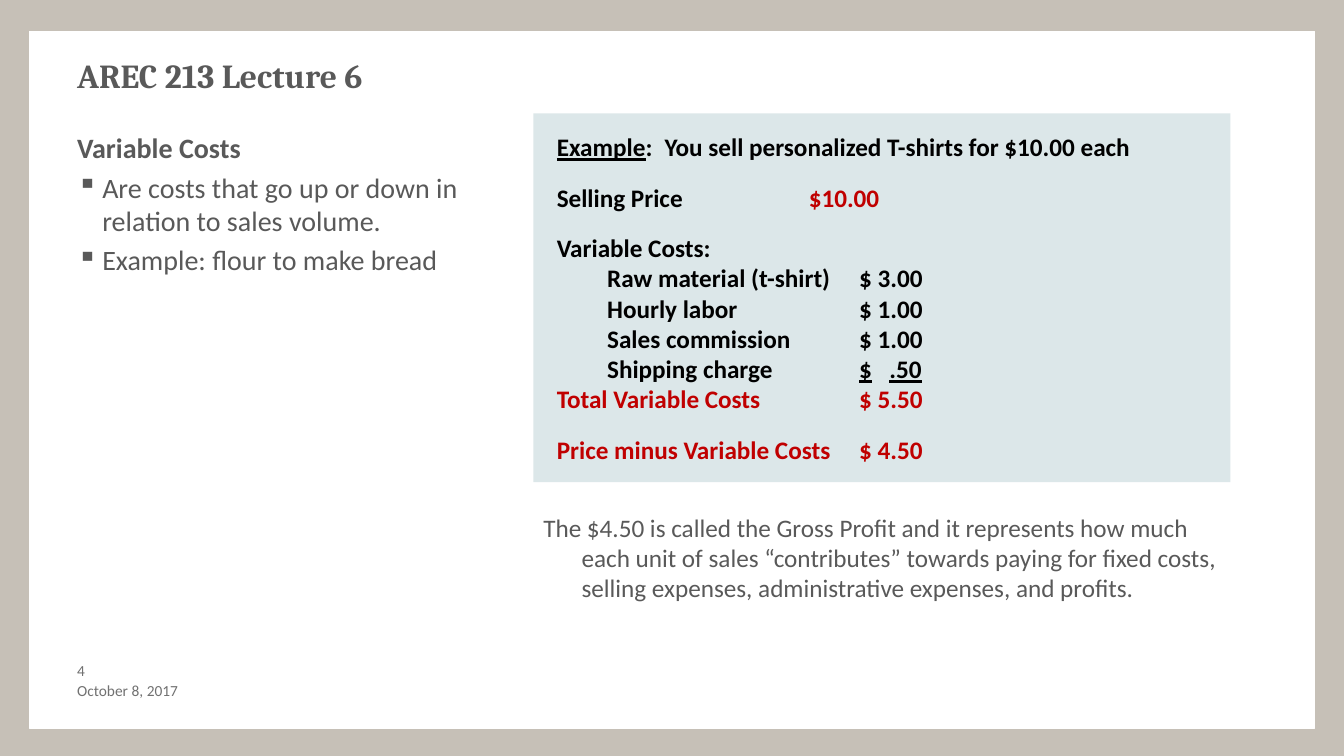
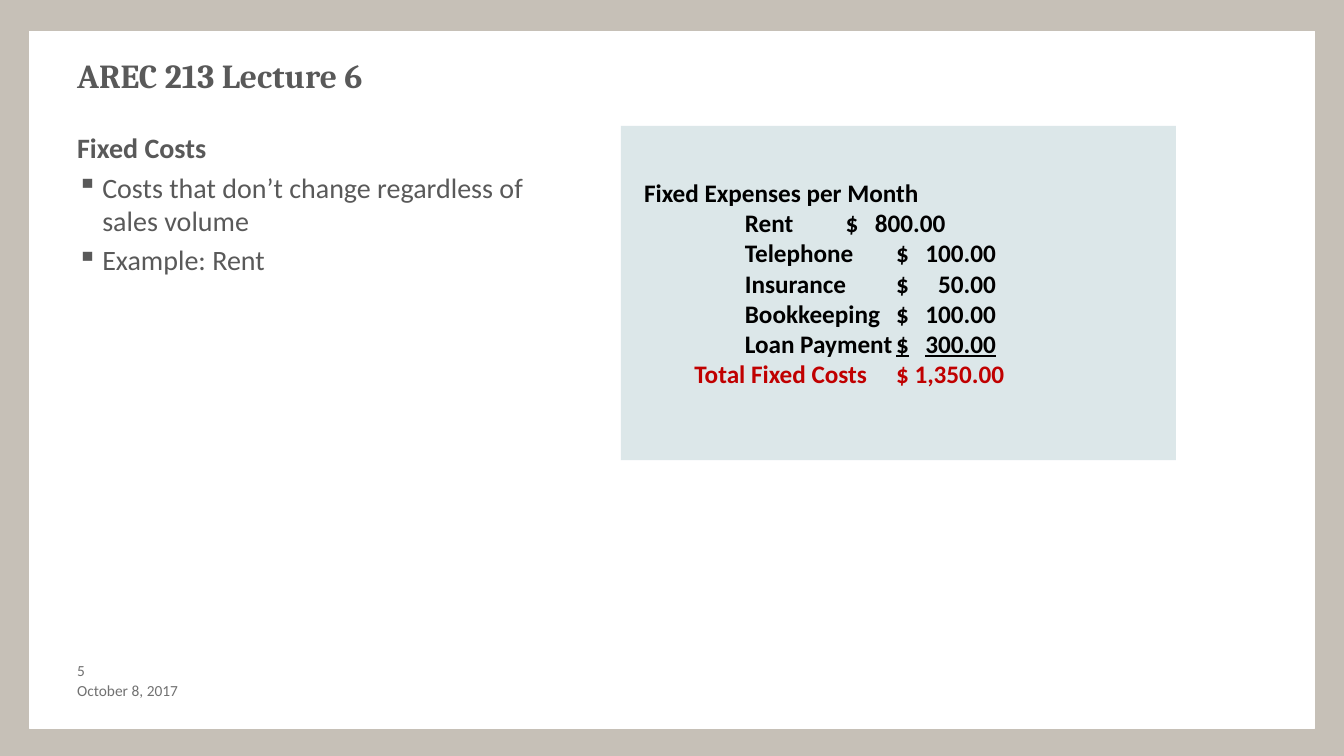
from lxml import etree
from pptx import Presentation
from pptx import util as u
from pptx.dml.color import RGBColor
from pptx.enum import shapes, text
from pptx.oxml import ns

# Shared look: a grid of 16 columns by 9 rows of square cells
COLS, ROWS = 16, 9
CELL = u.Inches(13.333) / COLS
LEFT = 0.8

FRAME = RGBColor(0xC6, 0xC0, 0xB7)
WHITE = RGBColor(0xFF, 0xFF, 0xFF)
PANEL = RGBColor(0xDC, 0xE7, 0xE9)
BLACK = RGBColor(0x00, 0x00, 0x00)
RED = RGBColor(0xC0, 0x00, 0x00)
GREY = RGBColor(0x59, 0x59, 0x59)
PALE = RGBColor(0x71, 0x71, 0x71)

HEAD_FONT, BODY_FONT = "Cambria", "Calibri"
TITLE, DATE = "AREC 213 Lecture 6", "October 8, 2017"
GAP = 14.4  # points between groups of ledger rows


def cells(*counts):
    return [round(n * CELL) for n in counts]


def add_rect(slide, at, fill, line=None):
    sp = slide.shapes.add_shape(shapes.MSO_SHAPE.RECTANGLE, *cells(*at))
    sp.shadow.inherit = False
    sp.fill.solid()
    sp.fill.fore_color.rgb = fill
    if line is None:
        sp.line.fill.background()
    else:
        sp.line.color.rgb = line
        sp.line.width = u.Pt(0.75)


def add_box(slide, at):
    tf = slide.shapes.add_textbox(*cells(*at)).text_frame
    tf.word_wrap = True
    return tf


def next_paragraph(tf):
    first = tf.paragraphs[0]
    return tf.add_paragraph() if first.runs else first


def style(p, size, color, bold=False, name=BODY_FONT):
    p.font.size, p.font.bold, p.font.name = u.Pt(size), bold, name
    p.font.color.rgb = color


def hang(p, inches):
    pPr = p._p.get_or_add_pPr()
    pPr.set("marL", str(u.Inches(inches)))
    pPr.set("indent", str(-u.Inches(inches)))
    return pPr


def add_tabs(p, stops):
    """Stops are (inches, alignment) pairs, alignment being l or r."""
    tabs = etree.SubElement(p._p.get_or_add_pPr(), ns.qn("a:tabLst"))
    for inches, align in stops:
        etree.SubElement(tabs, ns.qn("a:tab"), pos=str(u.Inches(inches)), algn=align)


def add_line(slide, at, words, size, color, **look):
    tf = add_box(slide, at)
    p = tf.paragraphs[0]
    p.text = words
    style(p, size, color, **look)
    return tf


def add_base(prs, number):
    """Frame, white page, title and footer."""
    slide = prs.slides.add_slide(prs.slide_layouts[6])
    slide.background.fill.solid()
    slide.background.fill.fore_color.rgb = FRAME
    add_rect(slide, (0.35, 0.37, 15.3, 8.3), WHITE, WHITE)
    add_line(slide, (LEFT, 0.6, 14.4, 0.9), TITLE, 24, GREY, bold=True, name=HEAD_FONT)
    for top, width, words in ((8.1, 3.2, DATE), (7.86, 0.64, str(number))):
        tf = add_line(slide, (LEFT, top, width, 0.24), words, 11, PALE)
        tf.margin_top = tf.margin_bottom = 0
        tf.vertical_anchor = text.MSO_ANCHOR.MIDDLE
    return slide


def add_points(slide, heading, points):
    tf = add_line(slide, (LEFT, 1.5, 5.71, 6), heading, 20, GREY, bold=True)
    for point in points:
        p = next_paragraph(tf)
        p.text = point
        p.space_before = u.Pt(4)
        etree.SubElement(hang(p, 0.25), ns.qn("a:buChar"), char="▪")
        style(p, 20, GREY)


def add_ledger(slide, panel, at, rows):
    """Rows are (parts, stops, colour, space before); a part starting with _ is underlined."""
    add_rect(slide, panel, PANEL)
    tf = add_box(slide, at)
    for parts, stops, color, gap in rows:
        p = next_paragraph(tf)
        if gap:
            p.space_before = u.Pt(gap)
        add_tabs(p, stops)
        style(p, 18, color, bold=True)
        for part in parts:
            r = p.add_run()
            r.text = part.lstrip("_")
            if part.startswith("_"):
                r.font.underline = True
            if part.startswith("$10"):
                r.font.color.rgb = RED


def variable_costs(prs):
    slide = add_base(prs, 4)
    add_points(slide, "Variable Costs", [
        "Are costs that go up or down in relation to sales volume.",
        "Example: flour to make bread",
    ])
    total = [(3, "l")]
    item = [(0.5, "l"), (3, "l"), (3.62, "r")]
    costs = [("Raw material (t-shirt)", "$ 3.00"), ("Hourly labor", "$ 1.00"),
             ("Sales commission", "$ 1.00"), ("Shipping charge", "_$\t.50")]
    rows = [
        (["_Example", ":\tYou sell personalized T-shirts for $10.00 each"], [(1.07, "l")], BLACK, 0),
        (["Selling Price\t", "$10.00"], [(2.5, "l")], BLACK, GAP),
        (["Variable Costs:"], [], BLACK, GAP),
        *[([f"\t{name}\t", cost], item, BLACK, 0) for name, cost in costs],
        (["Total Variable Costs\t$ 5.50"], total, RED, 0),
        (["Price minus Variable Costs\t$ 4.50"], total, RED, GAP),
    ]
    add_ledger(slide, (6.35, 1.35, 8.3, 4.39), (6.51, 1.51, 8, 4.12), rows)

    # Closing remark under the panel
    tf = add_line(
        slide, (6.35, 6.04, 8.3, 1.21),
        "The $4.50 is called the Gross Profit and it represents how much each unit of sales "
        "“contributes” towards paying for fixed costs, selling expenses, administrative "
        "expenses, and profits.", 18, GREY)
    hang(tf.paragraphs[0], 0.38)


def fixed_costs(prs):
    slide = add_base(prs, 5)
    add_points(slide, "Fixed Costs", [
        "Costs that don’t change regardless of sales volume",
        "Example: Rent",
    ])
    # Each expense has its own column for the dollar sign
    expenses = [("Rent", "800.00", 2), ("Telephone", "100.00", 2.5),
                ("Insurance", "50.00", 2.5), ("Bookkeeping", "100.00", 2.5),
                ("Loan Payment", "300.00", 2.5)]
    rows = [(["Fixed Expenses per Month"], [], BLACK, 0)]
    for name, cost, column in expenses:
        mark = "_" if name == "Loan Payment" else ""
        stops = [(1, "l"), (column, "l"), (column + 0.99, "r")]
        rows.append(([f"\t{name}\t", f"{mark}$\t{cost}"], stops, BLACK, 0))
    rows.append((["\tTotal Fixed Costs\t$ 1,350.00"], [(0.5, "l"), (2.5, "l")], RED, 0))
    add_ledger(slide, (7.39, 1.5, 6.61, 3.98), (7.55, 2.05, 6.31, 2.9), rows)


def main():
    prs = Presentation()
    prs.slide_width, prs.slide_height = cells(COLS, ROWS)
    variable_costs(prs)
    fixed_costs(prs)
    prs.save("out.pptx")


if __name__ == "__main__":
    main()
